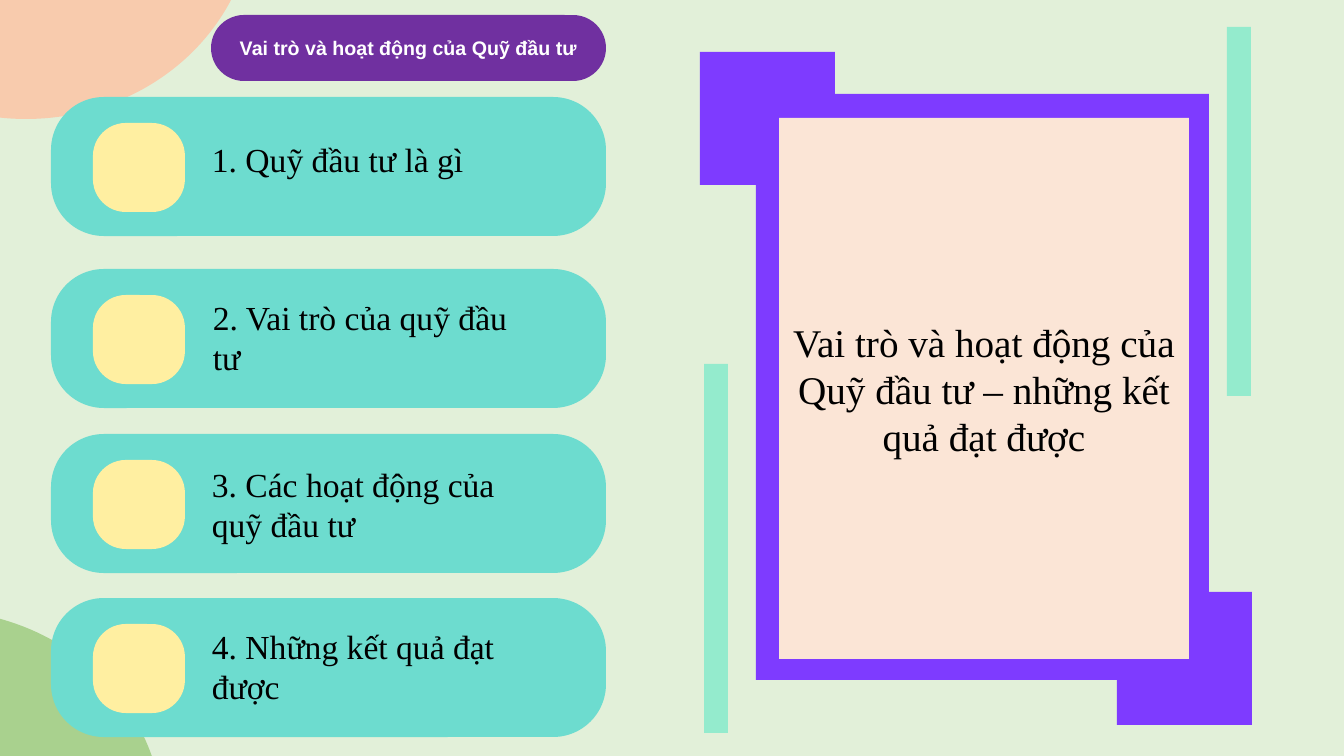
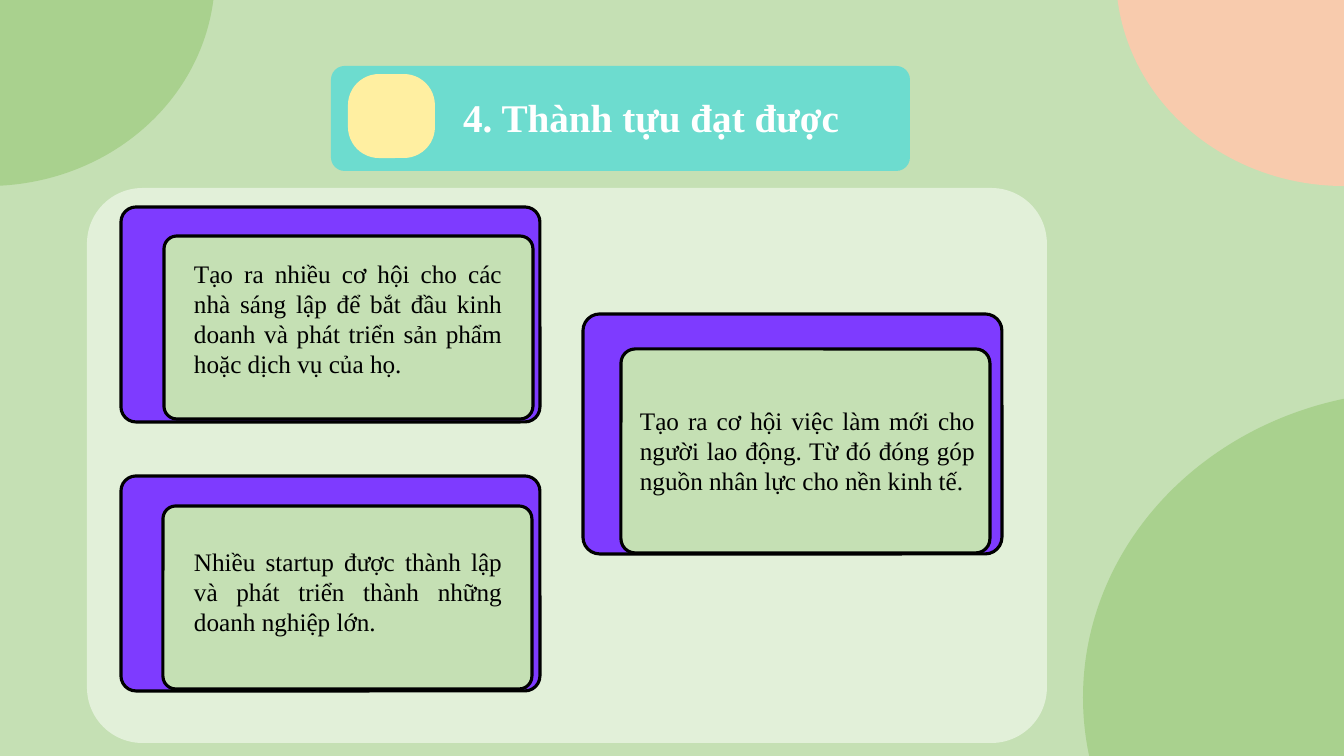
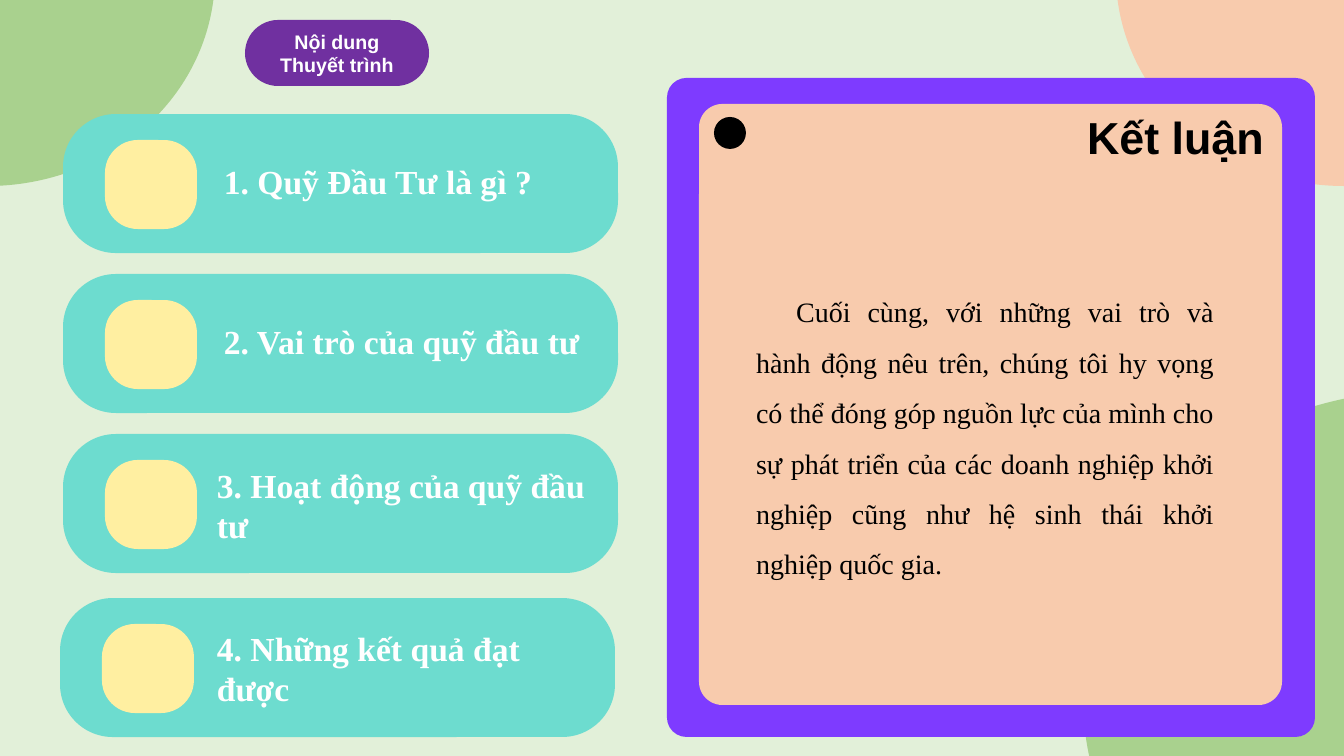
import pptx
import pptx.util
import pptx.dml.color
import pptx.enum.shapes
import pptx.enum.text
import pptx.oxml

SHAPE = pptx.enum.shapes.MSO_SHAPE
ALIGN = pptx.enum.text.PP_ALIGN
ANCHOR = pptx.enum.text.MSO_ANCHOR

SLIDE_W, SLIDE_H = 1344, 756
EMU_PER_PX = 12192000 / SLIDE_W
SERIF, SANS = "Times New Roman", "Arial"
BLACK, WHITE = "000000", "FFFFFF"
PALE, MINT, LEAF = "E2F0D9", "C5E0B4", "A9D18E"
PEACH, CREAM, YELLOW = "F8CBAD", "FBE5D6", "FFEFA1"
TEAL, AQUA, VIOLET, PURPLE = "6DDCCF", "94EBCD", "7E3BFF", "7030A0"
TITLE_ONLY, TITLE_AND_BODY = 5, 1


def px(length):
    """Turn px into EMU."""
    return pptx.util.Emu(round(length * EMU_PER_PX))


def rgb(value):
    """Turn a hex string into a colour."""
    return pptx.dml.color.RGBColor.from_string(value)


def paint(target, colour):
    """Give a shape or background a solid fill."""
    target.fill.solid()
    target.fill.fore_color.rgb = rgb(colour)


def add_block(slide, kind, box, colour, rounding=None, outline=None):
    """Draw a filled preset shape in the given box."""
    block = slide.shapes.add_shape(kind, *map(px, box))
    block.shadow.inherit = False
    paint(block, colour)
    if rounding is not None:
        block.adjustments[0] = rounding
    if outline:
        block.line.color.rgb = rgb(outline)
        block.line.width = pptx.util.Pt(2.25)
    else:
        block.line.fill.background()
    return block


def write(holder, text, size, colour=BLACK, font=SERIF, bold=False,
          align=ALIGN.LEFT, anchor=ANCHOR.TOP):
    """Put one formatted paragraph into a shape and return it."""
    frame = holder.text_frame
    frame.text = text
    frame.word_wrap = True
    frame.auto_size = pptx.enum.text.MSO_AUTO_SIZE.NONE
    frame.vertical_anchor = anchor
    paragraph = frame.paragraphs[0]
    paragraph.alignment = align
    for run in paragraph.runs:
        run.font.size = pptx.util.Pt(size)
        run.font.name = font
        run.font.bold = bold
        run.font.color.rgb = rgb(colour)
    return paragraph


def add_label(slide, box, text, size, **style):
    """Add a text box with one paragraph."""
    return write(slide.shapes.add_textbox(*map(px, box)), text, size, **style)


def place(placeholder, box):
    """Move a placeholder into the box, in front of everything drawn so far."""
    placeholder.left, placeholder.top, placeholder.width, placeholder.height = map(px, box)
    placeholder.element.getparent().append(placeholder.element)
    return placeholder


def start_slide(deck, layout, background, circles):
    """Add a slide with its background and corner circles."""
    slide = deck.slides.add_slide(deck.slide_layouts[layout])
    paint(slide.background, background)
    for colour, box in circles:
        add_block(slide, SHAPE.OVAL, box, colour)
    return slide


def add_pill(slide, box, text):
    """Draw the purple caption pill."""
    pill = add_block(slide, SHAPE.ROUNDED_RECTANGLE, box, PURPLE, 0.5)
    write(pill, text, 14, WHITE, SANS, True, ALIGN.CENTER, ANCHOR.MIDDLE)


def add_tile(slide, box):
    """Draw a yellow number tile."""
    add_block(slide, SHAPE.ROUNDED_RECTANGLE, box, YELLOW, 0.37)


def add_agenda_card(slide, left, top, label, text, **style):
    """Draw one agenda card; label is its text box relative to the card."""
    dx, dy, width, height = label
    add_block(slide, SHAPE.ROUNDED_RECTANGLE, (left, top, 555, 139), TEAL, 0.38)
    add_tile(slide, (left + 42, top + 26, 92, 89))
    add_label(slide, (left + dx, top + dy, width, height), text, 24, **style)


def add_cover_frame(slide, box, title):
    """Draw the violet frame with two corner blocks and the title panel."""
    left, top, width, height = box
    corner_w, corner_h = 135, 133
    for x, y in ((left + width - corner_w, top + height - corner_h), (left, top)):
        add_block(slide, SHAPE.RECTANGLE, (x, y, corner_w, corner_h), VIOLET)
    add_block(slide, SHAPE.RECTANGLE, (left + 56, top + 42, 453, 586), VIOLET)
    panel = place(slide.shapes.title, (left + 79, top + 66, 410, 541))
    paint(panel, CREAM)
    write(panel, title, 28, align=ALIGN.CENTER, anchor=ANCHOR.MIDDLE)


def add_heading(slide, box, title):
    """Draw the teal heading band with its tile and title."""
    left, top, width, height = box
    add_block(slide, SHAPE.ROUNDED_RECTANGLE, box, TEAL, 0.13)
    add_tile(slide, (left + 17, top + 8, 87, 84))
    heading = place(slide.shapes.title, (left + 122, top + 22, width - 122, 57))
    write(heading, title, 28, WHITE, bold=True)


def add_achievement(slide, box, inner, label, text):
    """Draw a violet card; inner and label are offsets from its corner."""
    left, top, width, height = box
    dx, dy, inner_h = inner
    text_dx, text_dy, text_w, text_h = label
    add_block(slide, SHAPE.ROUNDED_RECTANGLE, box, VIOLET, 0.07, BLACK)
    add_block(slide, SHAPE.ROUNDED_RECTANGLE,
              (left + dx, top + dy, 369, inner_h), MINT, 0.07, BLACK)
    add_label(slide, (left + text_dx, top + text_dy, text_w, text_h), text, 18,
              align=ALIGN.JUSTIFY)


def add_conclusion(slide, box, title, text):
    """Draw the conclusion panel with its title and closing paragraph."""
    left, top, width, height = box
    add_block(slide, SHAPE.ROUNDED_RECTANGLE, box, VIOLET, 0.03)
    add_block(slide, SHAPE.ROUNDED_RECTANGLE,
              (left + 32, top + 26, width - 65, height - 58), PEACH, 0.04)
    add_block(slide, SHAPE.OVAL, (left + 47, top + 39, 32, 32), BLACK)
    heading = place(slide.shapes.title, (left + 410, top + 27, 211, 65))
    write(heading, title, 32, font=SANS, bold=True)
    body = place(slide.placeholders[1], (left + 79, top + 195, 478, 309))
    closing = write(body, text, 20, align=ALIGN.JUSTIFY)
    properties = closing._p.get_or_add_pPr()
    properties.set("marL", "0")
    properties.set("indent", str(px(40)))
    properties.append(pptx.oxml.parse_xml(
        '<a:buNone xmlns:a="http://schemas.openxmlformats.org/drawingml/2006/main"/>'))
    closing.line_spacing = 1.5
    closing.space_before = pptx.util.Pt(0)
    closing.space_after = pptx.util.Pt(12)


COVER_CIRCLES = ((PEACH, (-202, -304, 456, 423)), (LEAF, (-293, 610, 456, 423)))
CONTENT_CIRCLES = (
    (PEACH, (1116, -237, 456, 423)),
    (LEAF, (1083, 391, 672, 613)),
    (LEAF, (-240, -236, 455, 422)),
)
COVER_AGENDA = (
    (97, (151, 37, 319, 50), "1. Quỹ đầu tư là gì"),
    (269, (152, 23, 319, 92), "2. Vai trò của quỹ đầu tư"),
    (434, (151, 25, 319, 92), "3. Các hoạt động của quỹ đầu tư"),
    (598, (151, 23, 319, 92), "4. Những kết quả đạt được"),
)
CLOSING_AGENDA = (
    (63, 114, (151, 42, 367, 50), "1. Quỹ Đầu Tư là gì ?"),
    (63, 274, (151, 42, 388, 50), "2. Vai trò của quỹ đầu tư"),
    (63, 434, (144, 26, 389, 92), "3. Hoạt động của quỹ đầu tư"),
    (60, 598, (147, 25, 370, 92), "4. Những kết quả đạt được"),
)
ACHIEVEMENTS = (
    ((121, 207, 419, 215), (43, 29, 183), (63, 46, 328, 132),
     "Tạo ra nhiều cơ hội cho các nhà sáng lập để bắt đầu kinh doanh "
     "và phát triển sản phẩm hoặc dịch vụ của họ."),
    ((583, 314, 419, 240), (38, 35, 204), (47, 86, 355, 102),
     "Tạo ra cơ hội việc làm mới cho người lao động. "
     "Từ đó đóng góp nguồn nhân lực cho nền kinh tế."),
    ((121, 476, 419, 215), (42, 30, 183), (63, 65, 328, 102),
     "Nhiều startup được thành lập và phát triển thành những doanh nghiệp lớn."),
)


def build_cover(deck):
    """Build the agenda slide with the framed topic."""
    slide = start_slide(deck, TITLE_ONLY, PALE, COVER_CIRCLES)
    add_pill(slide, (211, 15, 395, 66), "Vai trò và hoạt động của Quỹ đầu tư")
    for top, label, text in COVER_AGENDA:
        add_agenda_card(slide, 51, top, label, text)
    for left, top in ((1227, 27), (704, 364)):
        add_block(slide, SHAPE.RECTANGLE, (left, top, 24, 369), AQUA)
    add_cover_frame(slide, (700, 52, 552, 673),
                    "Vai trò và hoạt động của Quỹ đầu tư – những kết quả đạt được")


def build_achievements(deck):
    """Build the slide of achievement cards."""
    slide = start_slide(deck, TITLE_ONLY, MINT, CONTENT_CIRCLES)
    add_heading(slide, (331, 66, 579, 105), "4. Thành tựu đạt được")
    add_block(slide, SHAPE.ROUNDED_RECTANGLE, (87, 188, 960, 555), PALE, 0.1)
    for box, inner, label, text in ACHIEVEMENTS:
        add_achievement(slide, box, inner, label, text)


def build_closing(deck):
    """Build the closing slide with agenda and conclusion."""
    slide = start_slide(deck, TITLE_AND_BODY, PALE, CONTENT_CIRCLES)
    for left, top, label, text in CLOSING_AGENDA:
        add_agenda_card(slide, left, top, label, text, colour=WHITE, bold=True)
    add_pill(slide, (245, 20, 184, 66), "Nội dung Thuyết trình")
    add_conclusion(
        slide, (667, 78, 648, 659), "Kết luận",
        "Cuối cùng, với những vai trò và hành động nêu trên, chúng tôi hy vọng "
        "có thể đóng góp nguồn lực của mình cho sự phát triển của các doanh nghiệp "
        "khởi nghiệp cũng như hệ sinh thái khởi nghiệp quốc gia.")


def main():
    """Build and save the deck."""
    deck = pptx.Presentation()
    deck.slide_width, deck.slide_height = px(SLIDE_W), px(SLIDE_H)
    build_cover(deck)
    build_achievements(deck)
    build_closing(deck)
    deck.save("out.pptx")


if __name__ == "__main__":
    main()
